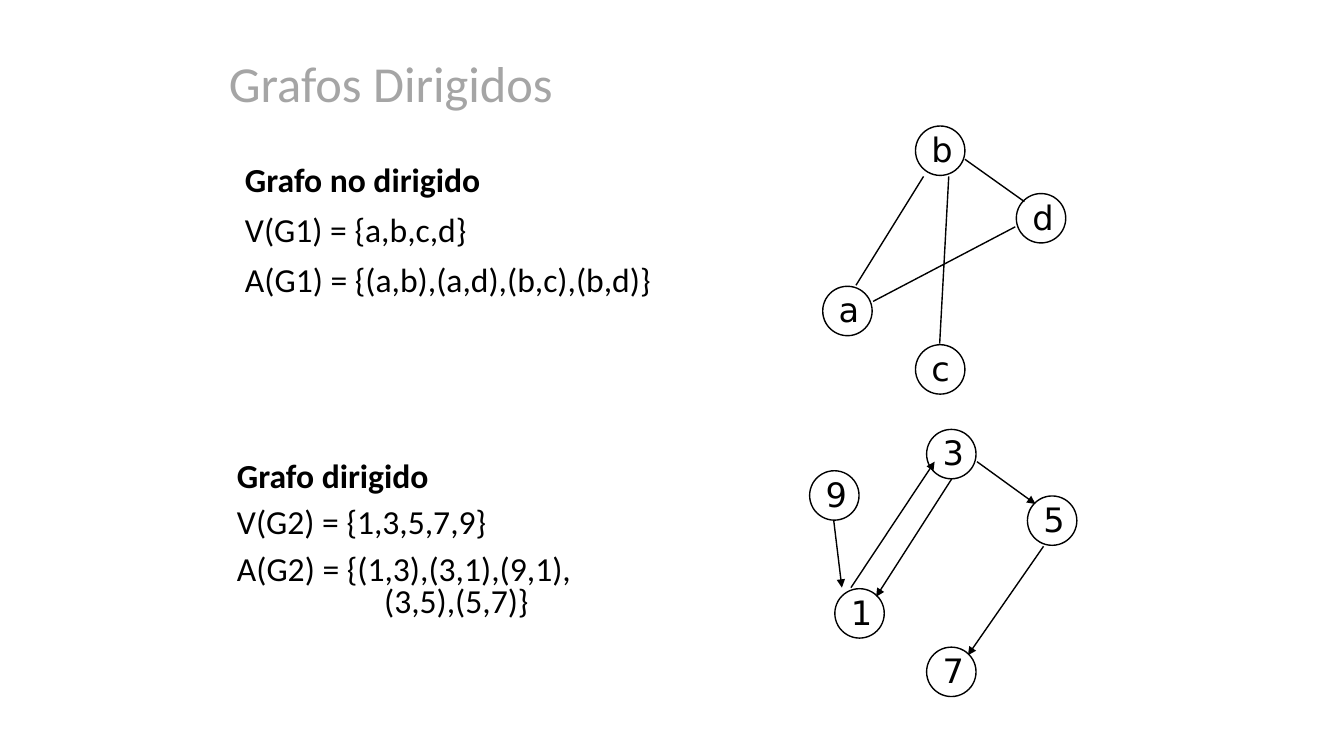
import dataclasses

import pptx
import pptx.dml.color
import pptx.enum.shapes
import pptx.enum.text
import pptx.oxml.ns
import pptx.util
from lxml import etree

PX = 9144  # 100 px to the inch


def px(length):
    return pptx.util.Emu(length * PX)


@dataclasses.dataclass(frozen=True)
class Theme:
    ink: str = "000000"
    title_ink: str = "A5A5A5"
    text_font: str = "Calibri"
    node_font: str = "DejaVu Sans"
    title_size: int = 36
    text_size: int = 24
    line_width: int = 1


def add_xml(parent, tag, **attributes):
    return etree.SubElement(parent, pptx.oxml.ns.qn(tag), **attributes)


def write(paragraph, text, *, font, size, color, bold=False, spacing=1.0, before=0, hanging=0):
    """Fill a paragraph with unbulleted, left-aligned text."""
    properties = paragraph._p.get_or_add_pPr()
    properties.set("marL", str(hanging * PX))
    properties.set("indent", str(-hanging * PX))
    add_xml(properties, "a:buNone")
    paragraph.alignment = pptx.enum.text.PP_ALIGN.LEFT
    paragraph.line_spacing = spacing
    paragraph.space_before = pptx.util.Pt(before)
    paragraph.text = text
    for run in paragraph.runs:
        run.font.name = font
        run.font.size = pptx.util.Pt(size)
        run.font.bold = bold
        run.font.color.rgb = pptx.dml.color.RGBColor.from_string(color)


class GraphSlide:
    NODE = 49
    LABEL_SHIFT = (6, -2)
    LABEL_SIZE = (41, 50)

    def __init__(self, presentation, theme):
        self.theme = theme
        self.slide = presentation.slides.add_slide(presentation.slide_layouts[3])

    def place(self, index, left, top, width, height):
        holder = self.slide.placeholders[index]
        holder.left, holder.top = px(left), px(top)
        holder.width, holder.height = px(width), px(height)
        holder.text_frame.auto_size = pptx.enum.text.MSO_AUTO_SIZE.NONE
        return holder.text_frame

    def title(self, text, *box):
        frame = self.place(0, *box)
        frame.vertical_anchor = pptx.enum.text.MSO_ANCHOR.MIDDLE
        write(frame.paragraphs[0], text, font=self.theme.text_font,
              size=self.theme.title_size, color=self.theme.title_ink, spacing=0.9)

    def definition(self, index, box, lines, spacing, hanging):
        frame = self.place(index, *box)
        for row, line in enumerate(lines):
            paragraph = frame.add_paragraph() if row else frame.paragraphs[0]
            write(paragraph, line, font=self.theme.text_font, size=self.theme.text_size,
                  color=self.theme.ink, bold=row == 0, spacing=spacing,
                  before=10 if row else 0, hanging=hanging)

    def outline(self, line):
        line.color.rgb = pptx.dml.color.RGBColor.from_string(self.theme.ink)
        line.width = pptx.util.Pt(self.theme.line_width)

    def node(self, group, name, left, top):
        circle = group.shapes.add_shape(pptx.enum.shapes.MSO_SHAPE.OVAL, px(left), px(top),
                                        px(self.NODE), px(self.NODE))
        circle.shadow.inherit = False
        circle.fill.background()
        self.outline(circle.line)
        dx, dy = self.LABEL_SHIFT
        width, height = self.LABEL_SIZE
        label = group.shapes.add_textbox(px(left + dx), px(top + dy), px(width), px(height))
        label.text_frame.word_wrap = False
        label.text_frame.auto_size = pptx.enum.text.MSO_AUTO_SIZE.SHAPE_TO_FIT_TEXT
        write(label.text_frame.paragraphs[0], name, font=self.theme.node_font,
              size=self.theme.text_size, color=self.theme.ink)

    def edge(self, group, ends, directed):
        edge = group.shapes.add_connector(pptx.enum.shapes.MSO_CONNECTOR.STRAIGHT,
                                          *(px(end) for end in ends))
        self.outline(edge.line)
        if directed:
            add_xml(edge.line._get_or_add_ln(), "a:tailEnd", type="triangle")
        add_xml(edge._element.spPr, "a:effectLst")

    def graph(self, nodes, edges, directed=False):
        group = self.slide.shapes.add_group_shape()
        for name, corner in nodes.items():
            self.node(group, name, *corner)
        for ends in edges:
            self.edge(group, ends, directed)


def main():
    presentation = pptx.Presentation()
    presentation.slide_width, presentation.slide_height = px(1333), px(750)
    page = GraphSlide(presentation, Theme())

    page.title("Grafos Dirigidos", 217, 52, 900, 68)

    # Set definitions
    page.definition(1, (233, 157, 499, 147), [
        "Grafo no dirigido",
        "V(G1) = {a,b,c,d}",
        "A(G1) = {(a,b),(a,d),(b,c),(b,d)}",
    ], spacing=0.9, hanging=25)
    page.definition(2, (225, 454, 439, 181), [
        "Grafo dirigido",
        "V(G2) = {1,3,5,7,9}",
        "A(G2) = {(1,3),(3,1),(9,1),\n(3,5),(5,7)}",
    ], spacing=0.8, hanging=146)

    # Undirected graph: b-d, b-a, b-c, a-d
    page.graph(
        {"a": (816, 284), "b": (908, 125), "c": (908, 342), "d": (1008, 192)},
        [(957, 158, 1016, 200), (916, 175, 849, 283),
         (941, 175, 932, 341), (866, 299, 1007, 225)],
    )

    # Directed graph: 3-5, 1-3, 3-1, 5-7, 9-1
    page.graph(
        {"1": (828, 584), "3": (919, 426), "5": (1019, 492),
         "7": (919, 642), "9": (803, 467)},
        [(969, 458, 1027, 500), (844, 583, 927, 458), (944, 475, 869, 592),
         (1035, 542, 960, 650), (827, 517, 835, 583)],
        directed=True,
    )

    presentation.save("out.pptx")


if __name__ == "__main__":
    main()
